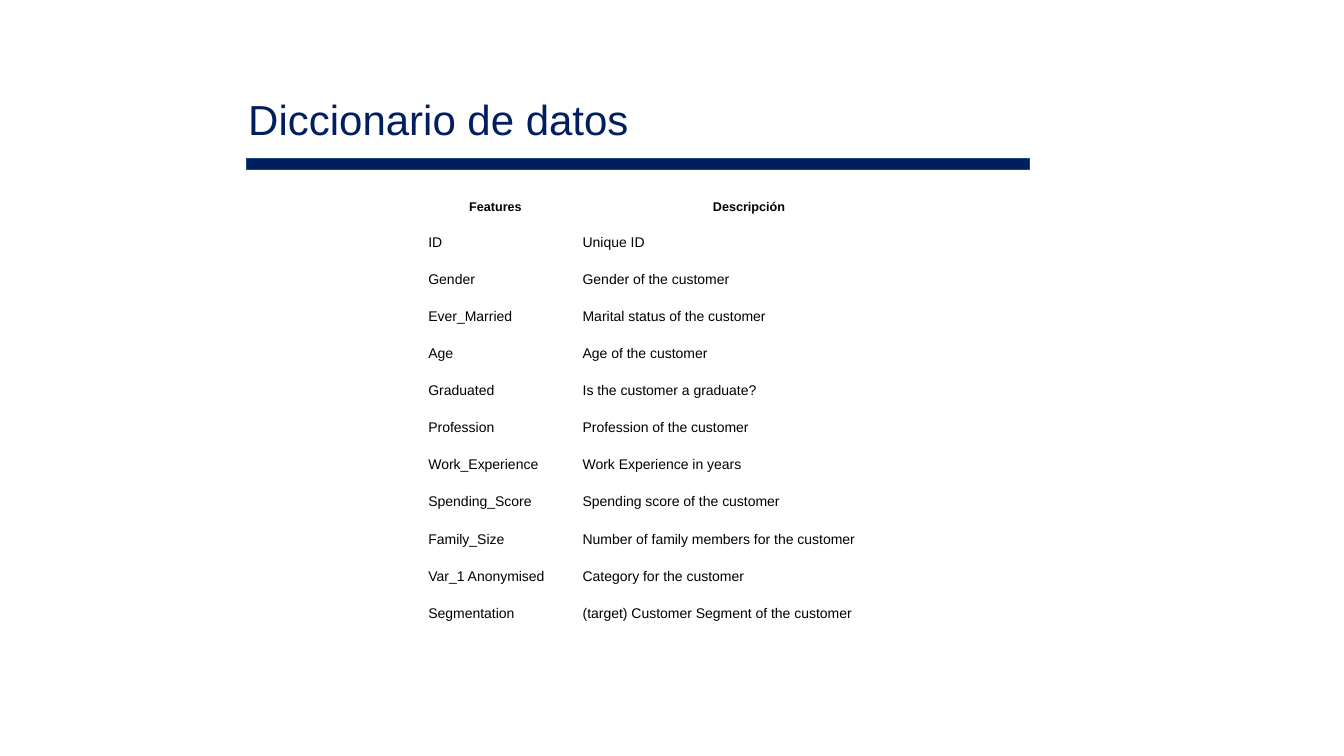
"""Build a slide with a data dictionary table."""
from pptx import Presentation
from pptx.dml.color import RGBColor
from pptx.enum.shapes import MSO_SHAPE
from pptx.enum.text import PP_ALIGN
from pptx.util import Pt

NAVY = RGBColor(0x00, 0x1F, 0x5F)
EDGE = RGBColor(0x1F, 0x49, 0x7D)
BLACK = RGBColor(0, 0, 0)

ROWS = [
    ("Features", "Descripción"),
    ("ID", "Unique ID"),
    ("Gender", "Gender of the customer"),
    ("Ever_Married", "Marital status of the customer"),
    ("Age", "Age of the customer"),
    ("Graduated", "Is the customer a graduate?"),
    ("Profession", "Profession of the customer"),
    ("Work_Experience", "Work Experience in years"),
    ("Spending_Score", "Spending score of the customer"),
    ("Family_Size", "Number of family members for the customer"),
    ("Var_1 Anonymised", "Category for the customer"),
    ("Segmentation", "(target) Customer Segment of the customer"),
]


class Sheet:
    """Hold the font and the current slide."""

    def __init__(self, slide, font):
        self.shapes = slide.shapes
        self.font = font

    def label(self, frame, text, size, color, bold=False):
        frame.text = text
        para = frame.paragraphs[0]
        for run in para.runs:
            run.font.name = self.font
            run.font.size = Pt(size)
            run.font.bold = bold
            run.font.color.rgb = color
        return para

    def title(self, text, left, top, width, height):
        frame = self.shapes.add_textbox(Pt(left), Pt(top), Pt(width), Pt(height)).text_frame
        frame.word_wrap = True
        frame.margin_left = frame.margin_top = Pt(0.9)
        frame.margin_right = frame.margin_bottom = Pt(0)
        self.label(frame, text, 30, NAVY)

    def bar(self, left, top, width, height):
        bar = self.shapes.add_shape(MSO_SHAPE.RECTANGLE, Pt(left), Pt(top), Pt(width), Pt(height))
        bar.shadow.inherit = False
        bar.fill.solid()
        bar.fill.fore_color.rgb = NAVY
        bar.line.color.rgb = EDGE
        bar.line.width = Pt(0.75)

    def table(self, rows, left, top, widths, height):
        grid = self.shapes.add_table(
            len(rows), len(widths), Pt(left), Pt(top), Pt(sum(widths)), Pt(height * len(rows))
        ).table
        grid.first_row = grid.horz_banding = False
        for col, width in zip(grid.columns, widths):
            col.width = Pt(width)
        for i, row in enumerate(rows):
            grid.rows[i].height = Pt(height)
            for j, text in enumerate(row):
                self.cell(grid.cell(i, j), text, i == 0)

    def cell(self, cell, text, head):
        cell.fill.background()
        cell.margin_left = cell.margin_right = Pt(7.2)
        cell.margin_top = cell.margin_bottom = Pt(7.2)
        para = self.label(cell.text_frame, text, 9 if head else 10, BLACK, head)
        if head:
            para.alignment = PP_ALIGN.CENTER
            para.line_spacing = 1.15


def main():
    deck = Presentation()
    deck.slide_width, deck.slide_height = Pt(960), Pt(540)
    sheet = Sheet(deck.slides.add_slide(deck.slide_layouts[6]), "Arial")
    sheet.title("Diccionario de datos", 176.4, 66.2, 471.6, 37.4)
    sheet.bar(176.4, 113, 558.7, 7.9)
    sheet.table(ROWS, 298.8, 133.9, (110.2, 252), 26.4)
    deck.save("out.pptx")


if __name__ == "__main__":
    main()
